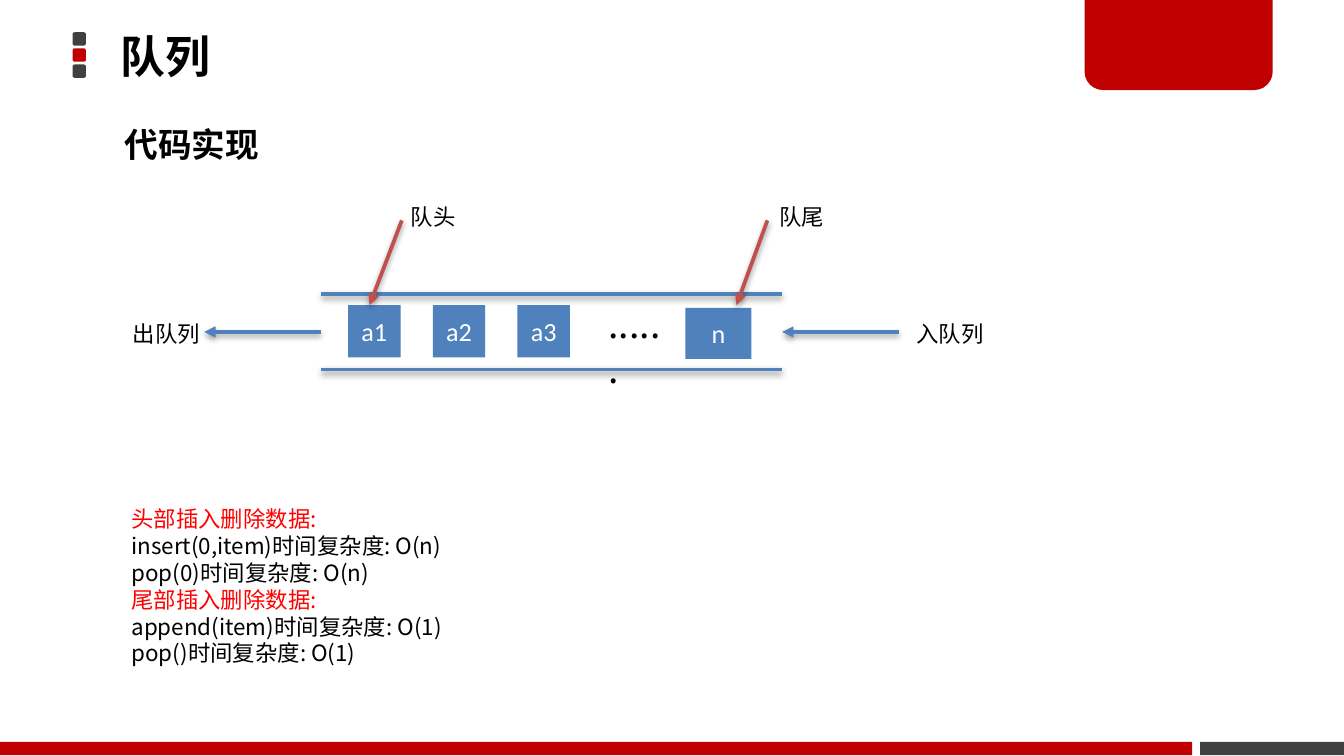
from typing import NamedTuple

import pptx
import pptx.dml.color
import pptx.enum.shapes
import pptx.enum.text
import pptx.oxml.ns
import pptx.util
from lxml import etree

Inches = pptx.util.Inches
Pt = pptx.util.Pt
RGBColor = pptx.dml.color.RGBColor
Shape = pptx.enum.shapes.MSO_SHAPE
Anchor = pptx.enum.text.MSO_ANCHOR
Align = pptx.enum.text.PP_ALIGN

BLACK = RGBColor(0, 0, 0)
WHITE = RGBColor(255, 255, 255)
GREY = RGBColor(0x40, 0x40, 0x40)
DEEP_RED = RGBColor(0xC0, 0, 0)
BRIGHT_RED = RGBColor(255, 0, 0)
BLUE = RGBColor(0x4F, 0x81, 0xBD)
POINTER_RED = RGBColor(0xC0, 0x50, 0x4D)
CJK_FONT = "Noto Sans CJK SC"
LATIN_FONT = "Calibri"


class Area(NamedTuple):
    left: float
    top: float
    width: float
    height: float

    def lengths(self):
        return [Inches(value) for value in self]


class Label(NamedTuple):
    lines: list[str]
    area: Area
    size: float = 12
    bold: bool = False
    wrap: bool = False


class Cell(NamedTuple):
    text: str
    area: Area


class Line(NamedTuple):
    start: tuple[float, float]
    end: tuple[float, float]
    color: RGBColor = BLUE
    arrow: bool = True


QUEUE_LEFT, QUEUE_RIGHT, QUEUE_MIDDLE = 2.39, 5.82, 2.47
ARROW_LENGTH = 0.87

LABELS = [
    Label(["代码实现"], Area(0.83, 0.87, 1.21, 0.4), 18, bold=True),
    Label(
        [
            "头部插入删除数据:",
            "insert(0,item)时间复杂度: O(n)",
            "pop(0)时间复杂度: O(n)",
            "尾部插入删除数据:",
            "append(item)时间复杂度: O(1)",
            "pop()时间复杂度: O(1)",
        ],
        Area(0.88, 3.71, 2.55, 1.51),
        wrap=True,
    ),
    Label(["......"], Area(4.43, 2.19, 0.61, 0.44), 20, wrap=True),
    Label(["队头"], Area(2.96, 1.46, 0.54, 0.3)),
    Label(["队尾"], Area(5.7, 1.46, 0.54, 0.3)),
    Label(["入队列"], Area(6.72, 2.33, 0.71, 0.3)),
    Label(["出队列"], Area(0.89, 2.33, 0.71, 0.3)),
]

CELLS = [
    Cell(f"a{index + 1}", Area(2.59 + 0.63 * index, 2.27, 0.39, 0.39))
    for index in range(3)
] + [Cell("n", Area(5.1, 2.29, 0.49, 0.38))]

LINES = [
    Line((QUEUE_LEFT, y), (QUEUE_RIGHT, y), arrow=False) for y in (2.19, 2.75)
] + [
    Line((2.99, 1.64), (2.75, 2.27), POINTER_RED),
    Line((5.71, 1.64), (5.48, 2.27), POINTER_RED),
] + [
    Line((x + ARROW_LENGTH, QUEUE_MIDDLE), (x, QUEUE_MIDDLE))
    for x in (QUEUE_RIGHT, QUEUE_LEFT - ARROW_LENGTH)
]


def style_paragraph(para, name: str, size: float, color: RGBColor, bold=False) -> None:
    """Set the font, for East Asian characters as well as Latin ones."""
    font = para.font
    font.name, font.size, font.bold = name, Pt(size), bold
    font.color.rgb = color
    latin = font._element.find(pptx.oxml.ns.qn("a:latin"))
    east_asian = etree.Element(pptx.oxml.ns.qn("a:ea"), typeface=name)
    latin.addnext(east_asian)


def add_block(page, kind, area: Area, color: RGBColor):
    block = page.shapes.add_shape(kind, *area.lengths())
    block.shadow.inherit = False
    block.fill.solid()
    block.fill.fore_color.rgb = color
    block.line.fill.background()
    return block


def add_decoration(page) -> None:
    for index, color in enumerate((GREY, DEEP_RED, GREY)):
        add_block(page, Shape.ROUNDED_RECTANGLE,
                  Area(0.54, 0.24 + 0.12 * index, 0.1, 0.1), color)
    add_block(page, Shape.RECTANGLE, Area(8.93, 5.52, 1.07, 0.1), GREY)
    tab = add_block(page, Shape.ROUND_2_SAME_RECTANGLE,
                    Area(8.07, -0.02, 1.4, 0.69), DEEP_RED)
    tab.adjustments[0], tab.adjustments[1] = 0, 0.2
    add_block(page, Shape.RECTANGLE, Area(0, 5.52, 8.87, 0.1), DEEP_RED)


def set_title(page, text: str) -> None:
    title = page.shapes.title
    title.left, title.top, title.width, title.height = Area(0.83, -0.01, 5.89, 0.89).lengths()
    frame = title.text_frame
    frame.text = text
    frame.auto_size = pptx.enum.text.MSO_AUTO_SIZE.NONE
    frame.vertical_anchor = Anchor.MIDDLE
    frame.margin_left = frame.margin_right = Inches(0.07)
    frame.margin_top = frame.margin_bottom = Inches(0.04)
    para = frame.paragraphs[0]
    para.alignment = Align.LEFT
    para.line_spacing = 0.9
    style_paragraph(para, CJK_FONT, 24, BLACK, bold=True)


def add_label(page, label: Label) -> None:
    frame = page.shapes.add_textbox(*label.area.lengths()).text_frame
    frame.word_wrap = label.wrap
    frame.text = "\n".join(label.lines)
    for para in frame.paragraphs:
        color = BRIGHT_RED if para.text.endswith(":") else BLACK
        style_paragraph(para, CJK_FONT, label.size, color, label.bold)


def add_cell(page, cell: Cell) -> None:
    frame = add_block(page, Shape.RECTANGLE, cell.area, BLUE).text_frame
    frame.text = cell.text
    frame.vertical_anchor = Anchor.MIDDLE
    para = frame.paragraphs[0]
    para.alignment = Align.CENTER
    style_paragraph(para, LATIN_FONT, 14, WHITE)


def add_line(page, line: Line) -> None:
    """Draw a line that keeps the soft shadow of the theme."""
    ends = [Inches(value) for value in (*line.start, *line.end)]
    connector = page.shapes.add_connector(pptx.enum.shapes.MSO_CONNECTOR.STRAIGHT, *ends)
    connector.line.color.rgb = line.color
    connector.line.width = Pt(2)
    if line.arrow:
        outline = connector.line._get_or_add_ln()
        etree.SubElement(outline, pptx.oxml.ns.qn("a:tailEnd"), type="triangle")


def main() -> None:
    deck = pptx.Presentation()
    deck.slide_width = Inches(10)
    deck.slide_height = deck.slide_width * 9 // 16
    page = deck.slides.add_slide(deck.slide_layouts.get_by_name("Title Only"))
    add_decoration(page)
    set_title(page, "队列")
    for cell in CELLS:
        add_cell(page, cell)
    for line in LINES:
        add_line(page, line)
    for label in LABELS:
        add_label(page, label)
    deck.save("out.pptx")


if __name__ == "__main__":
    main()
